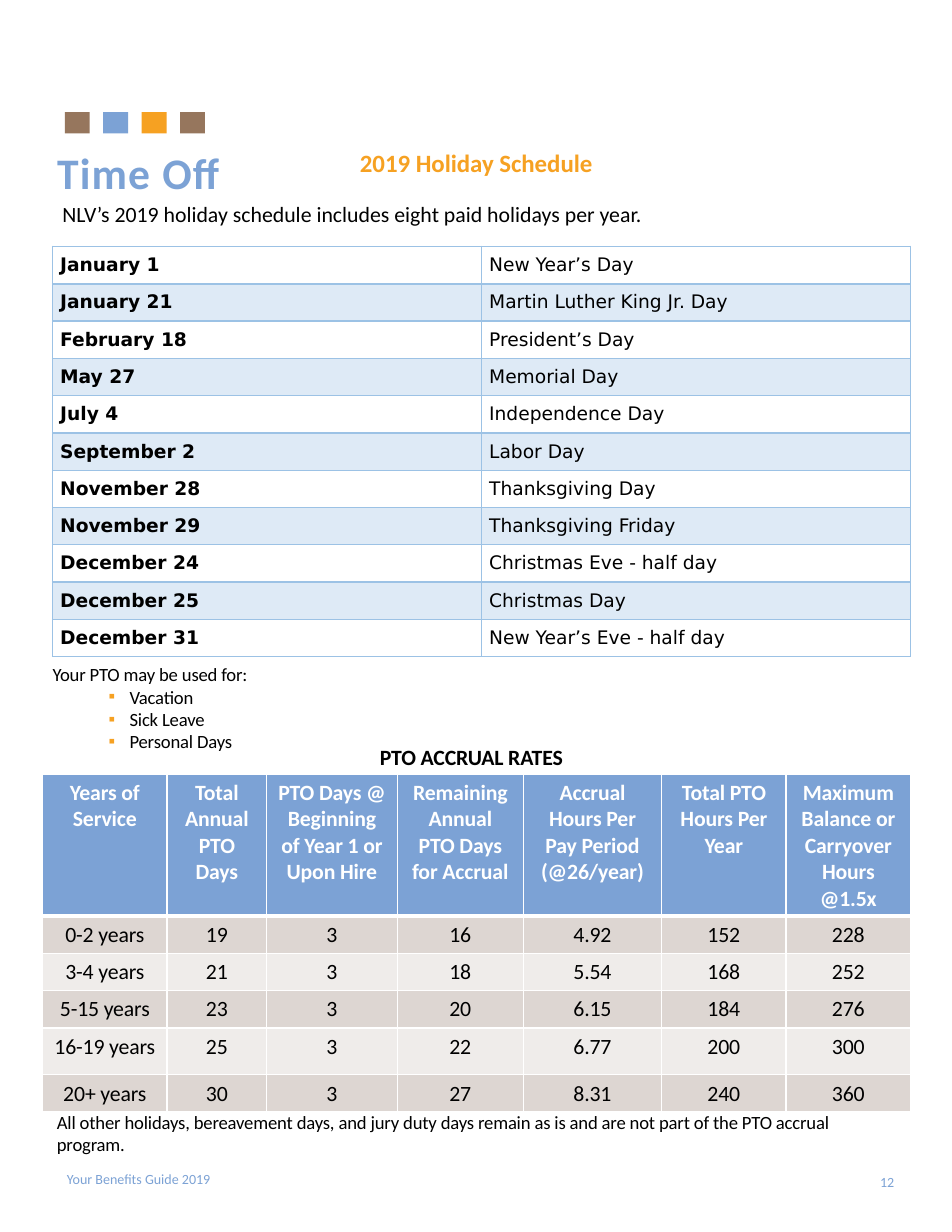
"""Build the time off page of a benefits guide with its holiday and PTO accrual tables."""
from lxml.etree import SubElement
from pptx import Presentation
from pptx.dml.color import RGBColor
from pptx.enum.shapes import MSO_SHAPE as Shape
from pptx.enum.text import MSO_ANCHOR as Anchor, MSO_AUTO_SIZE as AutoSize, PP_ALIGN as Align
from pptx.oxml.ns import qn
from pptx.util import Pt

color = RGBColor.from_string
BLUE, ORANGE, BROWN = "7CA2D5", "F6A122", "96765D"
BLACK, WHITE, RULE = "000000", "FFFFFF", "9CC2E5"


def write(frame, text, size=12, ink=BLACK, bold=False, align=Align.LEFT,
          font="Calibri", tracking=0, before=0, after=0):
    paragraph = frame.paragraphs[0]
    if paragraph.runs:
        paragraph = frame.add_paragraph()
    paragraph.alignment = align
    paragraph.space_before, paragraph.space_after = Pt(before), Pt(after)
    run = paragraph.add_run()
    run.text = text
    run.font.name, run.font.size, run.font.bold = font, Pt(size), bold
    run.font.color.rgb = color(ink)
    if tracking:
        run._r.get_or_add_rPr().set("spc", str(round(tracking * 100)))
    return paragraph


def format_cell(cell, fill, rule, top=1, bottom=1):
    properties = cell._tc.get_or_add_tcPr()
    for side, width in (("L", 1), ("R", 1), ("T", top), ("B", bottom)):
        line = SubElement(properties, qn(f"a:ln{side}"), w=str(Pt(width)))
        SubElement(SubElement(line, qn("a:solidFill")), qn("a:srgbClr"), val=rule)
    if fill:
        cell.fill.solid()
        cell.fill.fore_color.rgb = color(fill)
    else:
        cell.fill.background()


prs = Presentation()
prs.slide_width, prs.slide_height = Pt(612), Pt(792)
slide = prs.slides.add_slide(prs.slide_layouts[1])
shapes = slide.shapes

title, uses = shapes.title, slide.placeholders[1]
title.left, title.top, title.width, title.height = Pt(29.5), Pt(90), Pt(156), Pt(41)
uses.left, uses.top, uses.width, uses.height = Pt(26.6), Pt(422.6), Pt(554), Pt(124)
for placeholder in (title, uses):
    placeholder.text_frame.auto_size = AutoSize.NONE
    placeholder.text_frame.vertical_anchor = Anchor.TOP
write(title.text_frame, "Time Off", size=28, ink=BLUE, bold=True, tracking=0.8)

intro = write(uses.text_frame, "Your PTO may be used for:", tracking=-0.1)._p.get_or_add_pPr()
intro.set("marL", "0")
intro.set("indent", "0")
SubElement(intro, qn("a:buNone"))
for use in ("Vacation", "Sick Leave", "Personal Days"):
    item = write(uses.text_frame, use, tracking=-0.1)._p.get_or_add_pPr()
    item.set("marL", str(Pt(49.5)))
    item.set("indent", str(Pt(-13.5)))
    SubElement(SubElement(item, qn("a:buClr")), qn("a:srgbClr"), val=ORANGE)
    SubElement(item, qn("a:buChar"), char="▪")

for index, fill in enumerate((BROWN, BLUE, ORANGE, BROWN)):
    square = shapes.add_shape(Shape.RECTANGLE, Pt(41.7 + 24.7 * index), Pt(72), Pt(16), Pt(13.7))
    square.shadow.inherit = False
    square.fill.solid()
    square.fill.fore_color.rgb = color(fill)
    square.line.fill.background()

footer = dict(size=9, ink=BLUE)
text_boxes = [
    ((33, 91.5, 550, 58), Anchor.TOP, [
        ("2019 Holiday Schedule ", dict(size=16, ink=ORANGE, bold=True, align=Align.CENTER)),
        ("NLV’s 2019 holiday schedule includes eight paid holidays per year.",
         dict(size=14, before=14.6))]),
    ((29.5, 710.6, 545, 36), Anchor.TOP, [
        ("All other holidays, bereavement days, and jury duty days remain as is and are "
         "not part of the PTO accrual program.", dict(tracking=-0.1))]),
    ((24, 474.5, 558, 46), Anchor.TOP, [
        ("PTO ACCRUAL RATES", dict(size=14, bold=True, align=Align.CENTER, tracking=-0.1))]),
    ((36, 749, 222, 18), Anchor.MIDDLE, [("Your Benefits Guide 2019", footer)]),
    ((552, 750, 30, 20), Anchor.MIDDLE, [("12", dict(footer, align=Align.RIGHT))]),
]
for place, anchor, lines in text_boxes:
    frame = shapes.add_textbox(*map(Pt, place)).text_frame
    frame.word_wrap = True
    frame.vertical_anchor = anchor
    for text, style in lines:
        write(frame, text, **style)

holidays = [
    ("January 1", "New Year’s Day"),
    ("January 21", "Martin Luther King Jr. Day"),
    ("February 18", "President’s Day"),
    ("May 27", "Memorial Day"),
    ("July 4", "Independence Day"),
    ("September 2", "Labor Day"),
    ("November 28", "Thanksgiving Day"),
    ("November 29", "Thanksgiving Friday"),
    ("December 24", "Christmas Eve - half day"),
    ("December 25", "Christmas Day"),
    ("December 31", "New Year’s Eve - half day"),
]
schedule = shapes.add_table(len(holidays), 2, Pt(33.7), Pt(158.4), Pt(551.6), Pt(264)).table
schedule.first_row = schedule.horz_banding = False
for row, holiday in enumerate(holidays):
    for column, text in enumerate(holiday):
        cell = schedule.cell(row, column)
        cell.vertical_anchor = Anchor.MIDDLE
        cell.margin_left = cell.margin_right = Pt(5)
        cell.margin_top = cell.margin_bottom = 0
        write(cell.text_frame, text, bold=column == 0, font="DejaVu Sans", after=1)
        format_cell(cell, "DEEAF6" if row % 2 else None, RULE,
                    top=1.5 if row == 1 else 1, bottom=1.5 if row == 0 else 1)

accruals = [
    ("Years of Service", "Total Annual PTO Days", "PTO Days @ Beginning of Year 1 or Upon Hire",
     "Remaining Annual PTO Days for Accrual", "Accrual Hours Per Pay Period (@26/year)",
     "Total PTO Hours Per Year", "Maximum Balance or Carryover Hours @1.5x"),
    ("0-2 years", "19", "3", "16", "4.92", "152", "228"),
    ("3-4 years", "21", "3", "18", "5.54", "168", "252"),
    ("5-15 years", "23", "3", "20", "6.15", "184", "276"),
    ("16-19 years", "25", "3", "22", "6.77", "200", "300"),
    ("20+ years", "30", "3", "27", "8.31", "240", "360"),
]
rates = shapes.add_table(len(accruals), 7, Pt(27.4), Pt(497.5), Pt(558), Pt(217.4)).table
rates.horz_banding = False
for column, width in zip(rates.columns, (80, 64, 84, 81, 89, 80, 80)):
    column.width = Pt(width)
for row, height in zip(rates.rows, (73, 22.5, 22.5, 22.5, 30, 22.5)):
    row.height = Pt(height)
for row, accrual in enumerate(accruals):
    heading = row == 0
    fill = BLUE if heading else "DDD6D2" if row % 2 else "EFECEA"
    for column, text in enumerate(accrual):
        cell = rates.cell(row, column)
        write(cell.text_frame, text, size=14, ink=WHITE if heading else BLACK,
              bold=heading, align=Align.CENTER, tracking=-0.1)
        format_cell(cell, fill, WHITE, top=3 if row == 1 else 1, bottom=3 if heading else 1)

prs.save("out.pptx")
